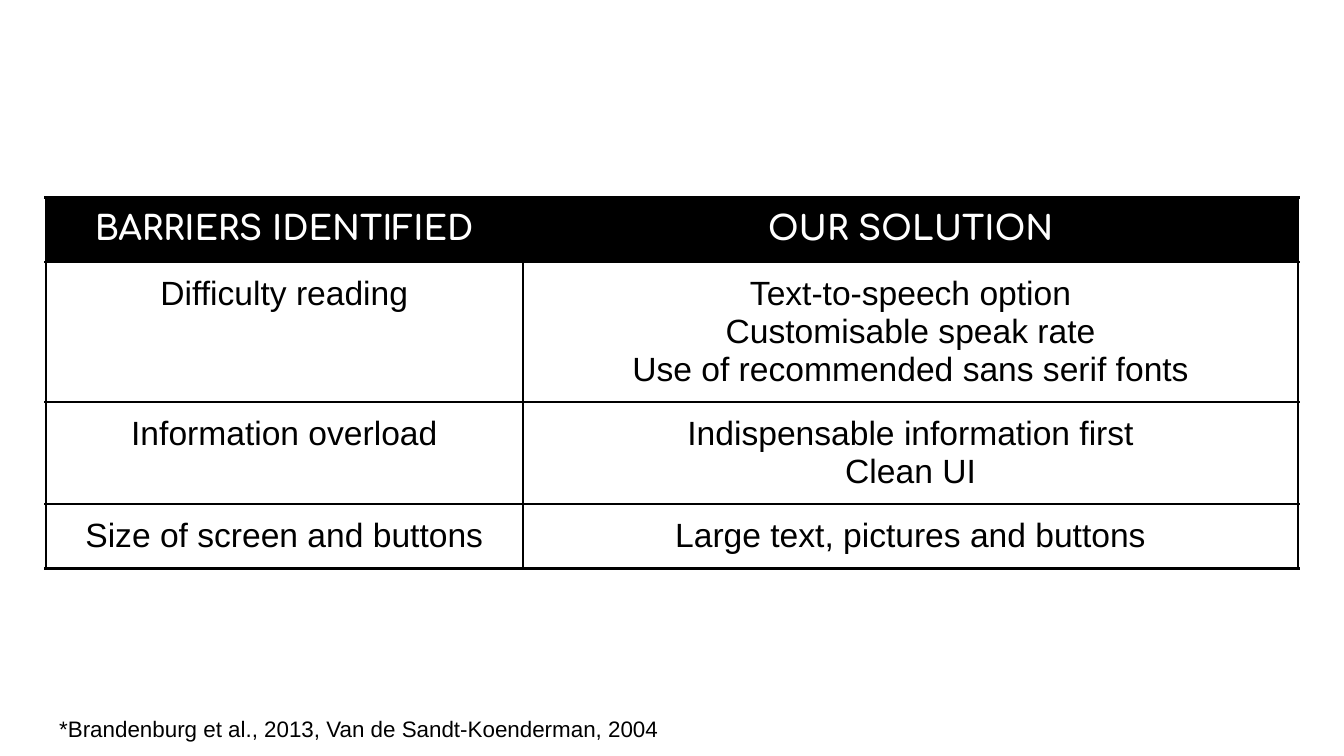
from dataclasses import dataclass

from lxml.etree import SubElement
from pptx import Presentation
from pptx.dml.color import RGBColor
from pptx.enum.text import MSO_ANCHOR, MSO_AUTO_SIZE, PP_ALIGN
from pptx.oxml.ns import qn
from pptx.util import Inches, Pt

HEADINGS = ("BARRIERS IDENTIFIED", "OUR SOLUTION")
BARRIERS = [
    ("Difficulty reading", [
        "Text-to-speech option",
        "Customisable speak rate",
        "Use of recommended sans serif fonts",
    ]),
    ("Information overload", ["Indispensable information first", "Clean UI"]),
    ("Size of screen and buttons", ["Large text, pictures and buttons"]),
]
CITATION = "*Brandenburg et al., 2013, Van de Sandt-Koenderman, 2004"


@dataclass(frozen=True)
class Theme:
    ink: RGBColor = RGBColor(0, 0, 0)
    paper: RGBColor = RGBColor(255, 255, 255)
    heading_font: str = "Comfortaa"
    body_font: str = "Arial"
    table_size: int = 18
    citation_size: int = 12
    border: float = 1.5


THEME = Theme()
WIDTH = 10
HEIGHT = WIDTH * 9 / 16
MARGIN = 0.34
CONTENT_WIDTH = WIDTH - 2 * MARGIN
COLUMN_PARTS = (8, 13)
TABLE_TOP = 1.47
CITATION_TOP, CITATION_HEIGHT = 5.19, 0.44
INSET = 0.1
LINE_HEIGHT = 0.28


def set_insets(frame):
    frame.margin_left = frame.margin_right = Inches(INSET)
    frame.margin_top = frame.margin_bottom = Inches(INSET)


def style_font(font, name, size, color, bold=False):
    font.name = name
    font.size = Pt(size)
    font.bold = bold
    font.color.rgb = color


def add_borders(cell):
    properties = cell._tc.get_or_add_tcPr()
    for side in ("lnL", "lnR", "lnT", "lnB"):
        line = SubElement(properties, qn(f"a:{side}"), w=str(Pt(THEME.border)))
        fill = SubElement(line, qn("a:solidFill"))
        SubElement(fill, qn("a:srgbClr"), val=str(THEME.ink))


def fill_cell(cell, lines, is_heading):
    set_insets(cell)
    add_borders(cell)
    if is_heading:
        cell.fill.solid()
        cell.fill.fore_color.rgb = THEME.ink
    else:
        cell.fill.background()
    cell.vertical_anchor = MSO_ANCHOR.MIDDLE if is_heading else MSO_ANCHOR.TOP
    cell.text = "\n".join(lines)
    for paragraph in cell.text_frame.paragraphs:
        paragraph.alignment = PP_ALIGN.CENTER
        style_font(
            paragraph.font,
            THEME.heading_font if is_heading else THEME.body_font,
            THEME.table_size,
            THEME.paper if is_heading else THEME.ink,
            is_heading,
        )


def add_barrier_table(slide):
    rows = [[[heading] for heading in HEADINGS]]
    rows += [[[barrier], solutions] for barrier, solutions in BARRIERS]
    heights = [2 * INSET + LINE_HEIGHT * max(map(len, row)) for row in rows]
    table = slide.shapes.add_table(
        len(rows), len(HEADINGS), Inches(MARGIN), Inches(TABLE_TOP),
        Inches(CONTENT_WIDTH), Inches(sum(heights)),
    ).table
    table.horz_banding = False
    for column, part in zip(table.columns, COLUMN_PARTS):
        column.width = Inches(CONTENT_WIDTH * part / sum(COLUMN_PARTS))
    for index, (row, height) in enumerate(zip(rows, heights)):
        table.rows[index].height = Inches(height)
        for cell, lines in zip(table.rows[index].cells, row):
            fill_cell(cell, lines, index == 0)


def fill_citation(citation):
    citation.left, citation.top = Inches(MARGIN), Inches(CITATION_TOP)
    citation.width, citation.height = Inches(CONTENT_WIDTH), Inches(CITATION_HEIGHT)
    frame = citation.text_frame
    frame.text = CITATION
    frame.word_wrap = True
    frame.auto_size = MSO_AUTO_SIZE.NONE
    frame.vertical_anchor = MSO_ANCHOR.TOP
    set_insets(frame)
    paragraph = frame.paragraphs[0]
    properties = paragraph._p.get_or_add_pPr()
    properties.set("marL", "0")
    properties.set("indent", "0")
    SubElement(properties, qn("a:buNone"))
    paragraph.line_spacing = 1.15
    paragraph.space_before = Pt(0)
    paragraph.space_after = Pt(16)
    style_font(paragraph.font, THEME.body_font, THEME.citation_size, THEME.ink)


def main():
    presentation = Presentation()
    presentation.slide_width, presentation.slide_height = Inches(WIDTH), Inches(HEIGHT)
    slide = presentation.slides.add_slide(presentation.slide_layouts[1])
    title, citation = slide.placeholders
    title.element.getparent().remove(title.element)
    add_barrier_table(slide)
    fill_citation(citation)
    presentation.save("out.pptx")


if __name__ == "__main__":
    main()
